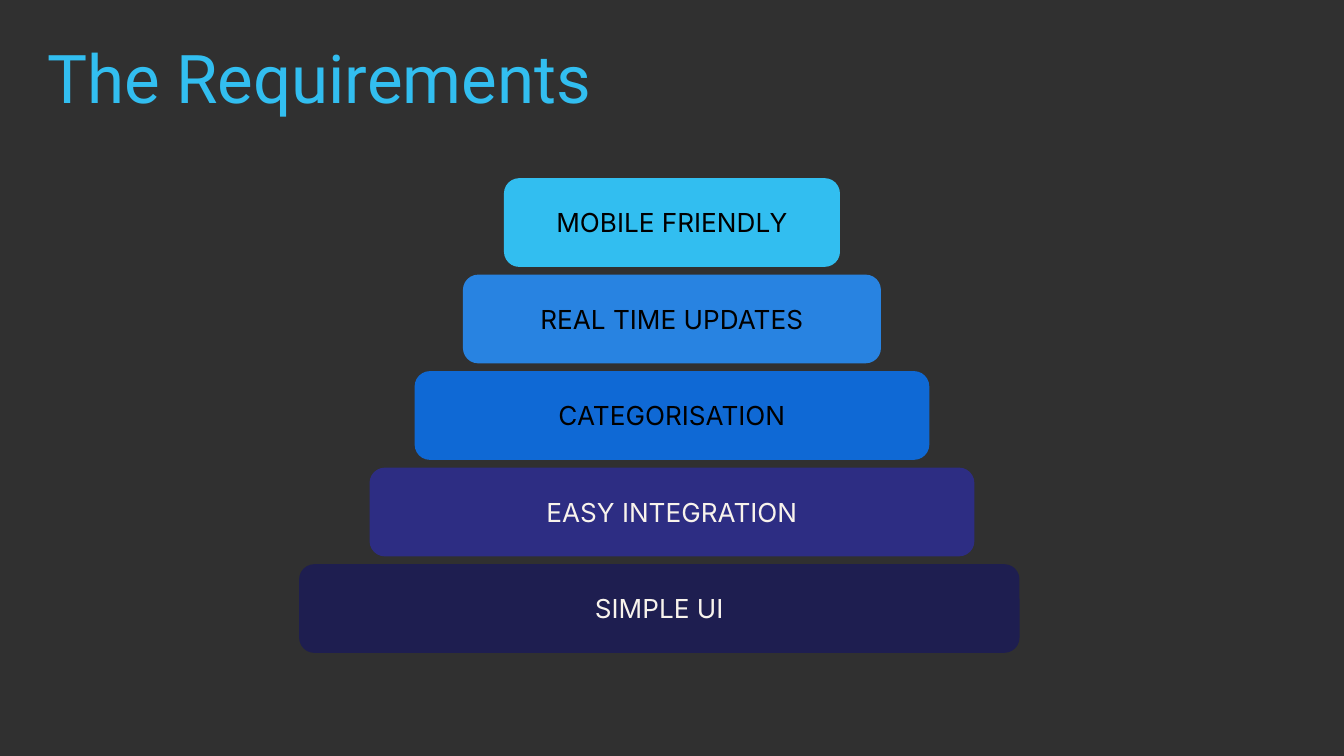
from pptx import Presentation
from pptx.dml.color import RGBColor
from pptx.enum.shapes import MSO_SHAPE as Shape
from pptx.enum.text import MSO_ANCHOR as Anchor, MSO_AUTO_SIZE as AutoSize, PP_ALIGN as Align
from pptx.util import Pt

COLOURS = {
    "background": "303030", "sky": "32BEF0", "azure": "2883E1", "blue": "0F69D5",
    "indigo": "2D2D83", "navy": "1E1E50", "cream": "F8F3EC", "black": "000000",
}

# label, width, shift from the centre line, fill, text colour
TIERS = [
    ("MOBILE FRIENDLY", 179.3, 0, "sky", "black"),
    ("REAL TIME UPDATES", 223.2, 0, "azure", "black"),
    ("CATEGORISATION", 275, 0, "blue", "black"),
    ("EASY INTEGRATION", 323.3, 0, "indigo", "cream"),
    ("SIMPLE UI", 385.2, -6.8, "navy", "cream"),
]


def colour(name):
    """Return the named palette colour."""
    return RGBColor.from_string(COLOURS[name])


def write(shape, text, align, frame_format, font_format, text_colour):
    """Fill a shape with one formatted paragraph."""
    frame = shape.text_frame
    frame.text = text
    margins = {f"margin_{side}": Pt(7.2) for side in ("left", "top", "right", "bottom")}
    for key, value in {"word_wrap": True, **margins, **frame_format}.items():
        setattr(frame, key, value)
    paragraph = frame.paragraphs[0]
    paragraph.alignment = align
    font = paragraph.runs[0].font
    for key, value in font_format.items():
        setattr(font, key, value)
    font.color.rgb = colour(text_colour)


def place_heading(slide, left, top, width, height):
    """Place the slide title in the given box."""
    heading = slide.shapes.title
    box = {"left": left, "top": top, "width": width, "height": height}
    for key, value in box.items():
        setattr(heading, key, Pt(value))
    write(heading, "The Requirements", Align.LEFT,
          {"vertical_anchor": Anchor.TOP, "auto_size": AutoSize.SHAPE_TO_FIT_TEXT},
          {"name": "Roboto", "size": Pt(36)}, "sky")


def place_pyramid(slide, left, top, width, height, gap=4.9):
    """Stack the widening tiers, equally spaced, in the given box."""
    tier_height = (height - gap * (len(TIERS) - 1)) / len(TIERS)
    centre = left + width / 2
    for row, (label, tier_width, shift, fill, text_colour) in reversed(list(enumerate(TIERS))):
        tier = slide.shapes.add_shape(
            Shape.ROUNDED_RECTANGLE,
            Pt(centre + shift - tier_width / 2), Pt(top + row * (tier_height + gap)),
            Pt(tier_width), Pt(tier_height))
        tier.shadow.inherit = False
        tier.fill.solid()
        tier.fill.fore_color.rgb = colour(fill)
        tier.line.color.rgb = colour(fill)
        tier.line.width = Pt(0.75)
        write(tier, label, Align.CENTER, {"vertical_anchor": Anchor.MIDDLE},
              {"name": "Inter", "size": Pt(14)}, text_colour)


def main():
    """Build and save the requirements slide."""
    deck = Presentation()
    deck.slide_width, deck.slide_height = Pt(720), Pt(405)
    slide = deck.slides.add_slide(deck.slide_layouts[5])
    slide.background.fill.solid()
    slide.background.fill.fore_color.rgb = colour("background")
    place_heading(slide, 18, 12.2, 519.1, 58.3)
    place_pyramid(slide, 160, 95.8, 400, 253.6)
    deck.save("out.pptx")


if __name__ == "__main__":
    main()
